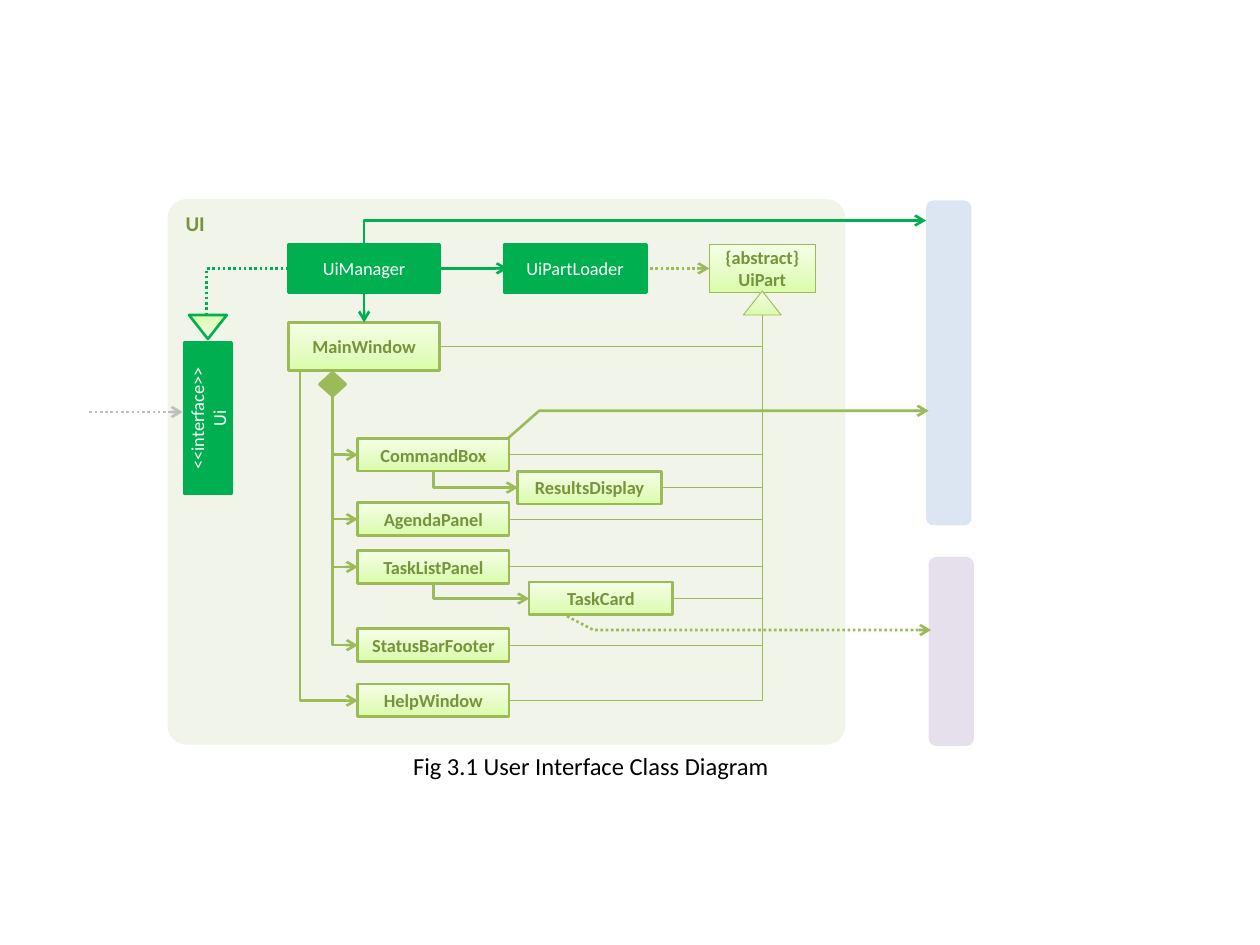
from copy import deepcopy
from dataclasses import dataclass

from lxml import etree
from pptx import Presentation
from pptx.dml.color import RGBColor
from pptx.enum.dml import MSO_LINE
from pptx.enum.shapes import MSO_CONNECTOR, MSO_SHAPE
from pptx.enum.text import MSO_ANCHOR, PP_ALIGN
from pptx.oxml.ns import qn
from pptx.util import Inches, Pt

RECT, ROUND = MSO_SHAPE.RECTANGLE, MSO_SHAPE.ROUNDED_RECTANGLE
TRIANGLE, DIAMOND = MSO_SHAPE.ISOSCELES_TRIANGLE, MSO_SHAPE.FLOWCHART_DECISION
STRAIGHT, ELBOW = MSO_CONNECTOR.STRAIGHT, MSO_CONNECTOR.ELBOW
DOTTED = MSO_LINE.ROUND_DOT
TOP, MIDDLE = MSO_ANCHOR.TOP, MSO_ANCHOR.MIDDLE
LEFT, CENTER = PP_ALIGN.LEFT, PP_ALIGN.CENTER

FONT = "Calibri"
GREEN, OLIVE, DARK_OLIVE, WHITE = "00B050", "9BBB59", "77933C", "FFFFFF"
LIME_STOPS = ((0, "DAFDA7"), (0.35, "E4FCC2"), (1, "F5FFE7"))
Point = tuple[float, float]


@dataclass
class Box:
    left: float
    top: float
    width: float
    height: float
    text: str = ""

    @property
    def center_x(self) -> float:
        return self.left + self.width / 2

    @property
    def center_y(self) -> float:
        return self.top + self.height / 2

    @property
    def right(self) -> float:
        return self.left + self.width

    @property
    def bottom(self) -> float:
        return self.top + self.height


def color(value: str) -> RGBColor:
    return RGBColor.from_string(value)


def paint_gradient(shape) -> None:
    shape.fill.gradient()
    shape.fill.gradient_angle = 90
    stop_list = shape._element.spPr.find(qn("a:gradFill")).find(qn("a:gsLst"))
    stop_list.append(deepcopy(stop_list[0]))
    for stop, (position, value) in zip(shape.fill.gradient_stops, LIME_STOPS):
        stop.position = position
        stop.color.rgb = color(value)


def write(frame, text: str, size: float, value: str, bold: bool = False,
          align=CENTER, anchor=MIDDLE) -> None:
    """Write paragraphs split by newline; a vertical bar is a line break."""
    frame.word_wrap = True
    frame.vertical_anchor = anchor
    for index, content in enumerate(text.split("\n")):
        para = frame.add_paragraph() if index else frame.paragraphs[0]
        para.alignment = align
        for number, words in enumerate(content.split("|")):
            if number:
                para.add_line_break()
            span = para.add_run()
            span.text = words
            span.font.name, span.font.size = FONT, Pt(size)
            span.font.bold, span.font.color.rgb = bold, color(value)


def add_shape(box: Box, kind, fill: str | None, line: str | None = None,
              weight: float = 1.5, rotation: float = 0):
    """Draw a shape; without a fill colour it gets the lime gradient."""
    shape = page.shapes.add_shape(kind, Inches(box.left), Inches(box.top),
                                  Inches(box.width), Inches(box.height))
    shape.shadow.inherit = False
    shape.rotation = rotation
    if fill:
        shape.fill.solid()
        shape.fill.fore_color.rgb = color(fill)
    else:
        paint_gradient(shape)
    if line:
        shape.line.color.rgb = color(line)
        shape.line.width = Pt(weight)
    else:
        shape.line.fill.background()
    return shape


def add_class(box: Box, weight: float = 1.5) -> None:
    shape = add_shape(box, RECT, None, OLIVE, weight)
    write(shape.text_frame, box.text, 10.5, DARK_OLIVE, True)


def add_core(box: Box, rotation: float = 0) -> None:
    shape = add_shape(box, RECT, GREEN, GREEN, rotation=rotation)
    write(shape.text_frame, box.text, 10.5, WHITE)


def style_line(shape, value: str, weight: float, dotted: bool, arrow: bool) -> None:
    shape.line.color.rgb = color(value)
    shape.line.width = Pt(weight)
    if dotted:
        shape.line.dash_style = DOTTED
    if arrow:
        line = shape.line._get_or_add_ln()
        etree.SubElement(line, qn("a:tailEnd"), type="arrow")


def connect(start: Point, end: Point, value: str = OLIVE, weight: float = 1.5,
            bend: str = "", dotted: bool = False, arrow: bool = True) -> None:
    """Join two points; bend names the first leg: "h", "v", or none."""
    (x1, y1), (x2, y2) = start, end
    turn = 0
    if bend == "v":
        # The preset starts horizontally, so lay it out sideways and turn it.
        turn = 90 if y2 > y1 else 270
        middle_x, middle_y = (x1 + x2) / 2, (y1 + y2) / 2
        run, rise = abs(y2 - y1) / 2, abs(x2 - x1) / 2
        if (x2 > x1) == (y2 > y1):
            rise = -rise
        x1, x2 = middle_x - run, middle_x + run
        y1, y2 = middle_y - rise, middle_y + rise
    line = page.shapes.add_connector(ELBOW if bend else STRAIGHT, Inches(x1),
                                     Inches(y1), Inches(x2), Inches(y2))
    properties = line._element.spPr
    if bend:
        properties.find(qn("a:prstGeom")).set("prst", "bentConnector2")
        if turn:
            properties.find(qn("a:xfrm")).set("rot", str(turn * 60000))
    style_line(line, value, weight, dotted, arrow)
    etree.SubElement(properties, qn("a:effectLst"))


def add_veil(box: Box) -> None:
    """Lay a soft-edged, partly transparent patch over a line crossing."""
    veil = add_shape(box, RECT, "EBF1DE")
    properties = veil._element.spPr
    tint = properties.find(qn("a:solidFill"))[0]
    etree.SubElement(tint, qn("a:alpha"), val="80000")
    effects = properties.find(qn("a:effectLst"))
    etree.SubElement(effects, qn("a:softEdge"), rad=str(Pt(5)))


def add_route(points: list[Point], dotted: bool = False) -> None:
    start, *rest = [(Inches(x), Inches(y)) for x, y in points]
    builder = page.shapes.build_freeform(*start)
    builder.add_line_segments(rest, close=False)
    route = builder.convert_to_shape()
    route.shadow.inherit = False
    route.fill.background()
    style_line(route, OLIVE, 1.5, dotted, True)


deck = Presentation()
deck.slide_width, deck.slide_height = Inches(10), Inches(7.5)
page = deck.slides.add_slide(deck.slide_layouts[6])

# Component panels
panel = add_shape(Box(1.33, 1.58, 5.38, 4.33), ROUND, "F1F5E9")
panel.adjustments[0] = 0.035
write(panel.text_frame, "UI", 12, DARK_OLIVE, True, LEFT, TOP)
add_shape(Box(6.24, 2.7, 2.58, 0.36), ROUND, "DCE6F2", rotation=270)
add_shape(Box(6.8, 4.99, 1.5, 0.36), ROUND, "E6E0EC", rotation=270)

# Classes
manager = Box(2.29, 1.94, 1.2, 0.38, "UiManager")
loader = Box(4, 1.94, 1.13, 0.38, "UiPartLoader")
interface = Box(1.05, 3.13, 1.2, 0.38, "<<interface>>\nUi")
window = Box(2.29, 2.56, 1.2, 0.38, "MainWindow")
part = Box(5.63, 1.94, 0.84, 0.38, "{abstract}|UiPart")
command, agenda, tasks, status, help_window = children = [
    Box(2.84, top, 1.2, 0.26, name)
    for name, top in (("CommandBox", 3.48), ("AgendaPanel", 3.99), ("TaskListPanel", 4.37),
                      ("StatusBarFooter", 4.99), ("HelpWindow", 5.43))]
results = Box(4.11, 3.74, 1.14, 0.26, "ResultsDisplay")
card = Box(4.2, 4.62, 1.14, 0.26, "TaskCard")
parts = [window, *children, results, card]
for box in parts:
    add_class(box)
add_class(part, 0.5)
add_core(manager)
add_core(loader)
add_core(interface, 270)

# Inheritance
parent = (part.center_x, 2.5)
for box in parts:
    connect((box.right, box.center_y), parent, weight=0.5, bend="h", arrow=False)
add_shape(Box(5.9, 2.31, 0.3, 0.19), TRIANGLE, None, OLIVE, 0.5)
connect((manager.left, manager.center_y), (1.64, 2.5), GREEN, bend="h",
        dotted=True, arrow=False)
add_shape(Box(1.5, 2.5, 0.3, 0.19), TRIANGLE, None, GREEN, rotation=180)

# Composition
add_shape(Box(2.54, 2.96, 0.2, 0.18), DIAMOND, OLIVE, OLIVE, 2)
for box in (command, agenda, tasks, status):
    connect((2.64, 3.14), (box.left, box.center_y), bend="v")
connect((2.38, window.bottom), (help_window.left, help_window.center_y), bend="v")
for owner, owned in ((command, results), (tasks, card)):
    connect((owner.center_x, owner.bottom), (owned.left, owned.center_y), bend="v")

# Dependencies
connect((manager.center_x, manager.bottom), (window.center_x, window.top), GREEN)
connect((manager.center_x, manager.top), (7.35, 1.75), GREEN, bend="v")
connect((3.5, 2.13), (4.03, 2.13), GREEN)
connect((5.16, 2.13), (part.left, 2.13), dotted=True)
connect((0.71, 3.27), (1.45, 3.27), "BFBFBF", dotted=True)

# Routes to the other components
add_veil(Box(5.94, 3.17, 0.25, 0.18))
add_route([(4.03, 3.48), (4.28, 3.26), (7.37, 3.26)])
add_veil(Box(5.94, 4.91, 0.25, 0.18))
add_route([(4.5, 4.89), (4.71, 5), (7.39, 5)], dotted=True)

# Caption
caption = page.shapes.add_textbox(Inches(1.97), Inches(5.96), Inches(5.44), Inches(0.24))
frame = caption.text_frame
frame.margin_left = frame.margin_right = frame.margin_top = frame.margin_bottom = 0
write(frame, "Fig 3.1 User Interface Class Diagram", 14, "000000", anchor=TOP)

deck.save("out.pptx")
